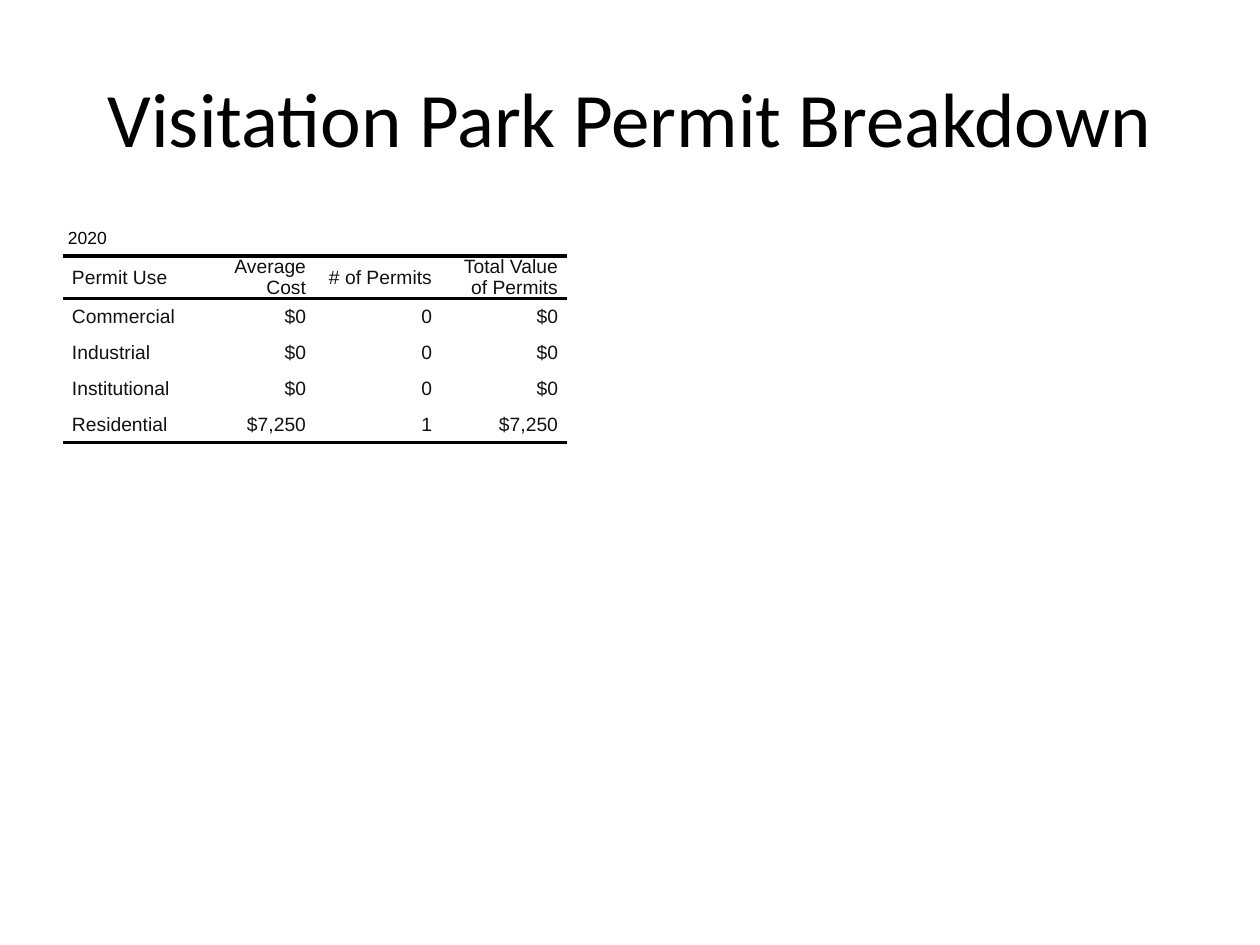
from pptx import Presentation
from pptx import util as u
from pptx.dml.color import RGBColor
from pptx.enum import text
from pptx.oxml.ns import qn
from lxml import etree

PX_PER_INCH = 126


def px(count):
    return u.Emu(round(count * 914400 / PX_PER_INCH))


def color(hex_value):
    return RGBColor.from_string(hex_value)


class SlideBuilder:
    title_font, table_font = "Calibri", "Arial"
    black, body = "000000", "111111"
    rule_width = 2

    def __init__(self, deck):
        self.page = deck.slides.add_slide(deck.slide_layouts[5])

    def add_words(self, frame, words, font, size, ink, align):
        frame.word_wrap = True
        para = frame.paragraphs[0]
        para.alignment = align
        span = para.add_run()
        span.text = words
        span.font.name = font
        span.font.size = u.Pt(size)
        span.font.color.rgb = color(ink)

    def title(self, words, left, top, width, height):
        box = self.page.shapes.title
        box.left, box.top = px(left), px(top)
        box.width, box.height = px(width), px(height)
        box.text_frame.vertical_anchor = text.MSO_ANCHOR.MIDDLE
        self.add_words(box.text_frame, words, self.title_font, 44, self.black,
                       text.PP_ALIGN.CENTER)

    def border(self, cell, side, ruled):
        props = cell._tc.get_or_add_tcPr()
        line = etree.SubElement(props, qn(f"a:ln{side}"))
        if not ruled:
            etree.SubElement(line, qn("a:noFill"))
            return
        line.set("w", str(u.Pt(self.rule_width)))
        fill = etree.SubElement(line, qn("a:solidFill"))
        etree.SubElement(fill, qn("a:srgbClr")).set("val", self.black)

    def style_cell(self, cell, top_rule, bottom_rule, inset):
        cell.margin_left = cell.margin_right = px(inset)
        cell.margin_top = cell.margin_bottom = 0
        cell.vertical_anchor = text.MSO_ANCHOR.MIDDLE
        for side, ruled in zip("LRTB", (False, False, top_rule, bottom_rule)):
            self.border(cell, side, ruled)
        cell.fill.background()

    def table(self, caption, rows, left, top, col_width, row_height):
        row_count, col_count = len(rows) + 1, len(rows[0])
        grid = self.page.shapes.add_table(
            row_count, col_count, px(left), px(top),
            px(col_width * col_count), px(row_height * row_count)).table
        grid.first_row = grid.horz_banding = False
        for column in grid.columns:
            column.width = px(col_width)
        for row in grid.rows:
            row.height = px(row_height)

        # Rules lie above and below the header row and under the last row
        ruled_edges = {1, 2, row_count}
        for r in range(row_count):
            for c in range(col_count):
                self.style_cell(grid.cell(r, c), r in ruled_edges,
                                r + 1 in ruled_edges, 9 if r else 5)

        # Caption across the full width
        head = grid.cell(0, 0)
        head.merge(grid.cell(0, col_count - 1))
        self.add_words(head.text_frame, caption, self.table_font, 10,
                       self.black, text.PP_ALIGN.LEFT)

        # Header and data rows: labels left, figures right
        for r, row in enumerate(rows, 1):
            for c, words in enumerate(row):
                align = text.PP_ALIGN.RIGHT if c else text.PP_ALIGN.LEFT
                self.add_words(grid.cell(r, c).text_frame, words,
                               self.table_font, 11, self.body, align)


def main():
    deck = Presentation()
    deck.slide_width, deck.slide_height = px(1260), px(945)
    slide = SlideBuilder(deck)

    # Title
    slide.title("Visitation Park Permit Breakdown", 63, 38, 1134, 158)

    # Permit table
    permits = [
        ("Permit Use", "Average Cost", "# of Permits", "Total Value of Permits"),
        ("Commercial", "$0", "0", "$0"),
        ("Industrial", "$0", "0", "$0"),
        ("Institutional", "$0", "0", "$0"),
        ("Residential", "$7,250", "1", "$7,250"),
    ]
    slide.table("2020", permits, 63, 220, 126, 36)

    deck.save("out.pptx")


if __name__ == "__main__":
    main()
